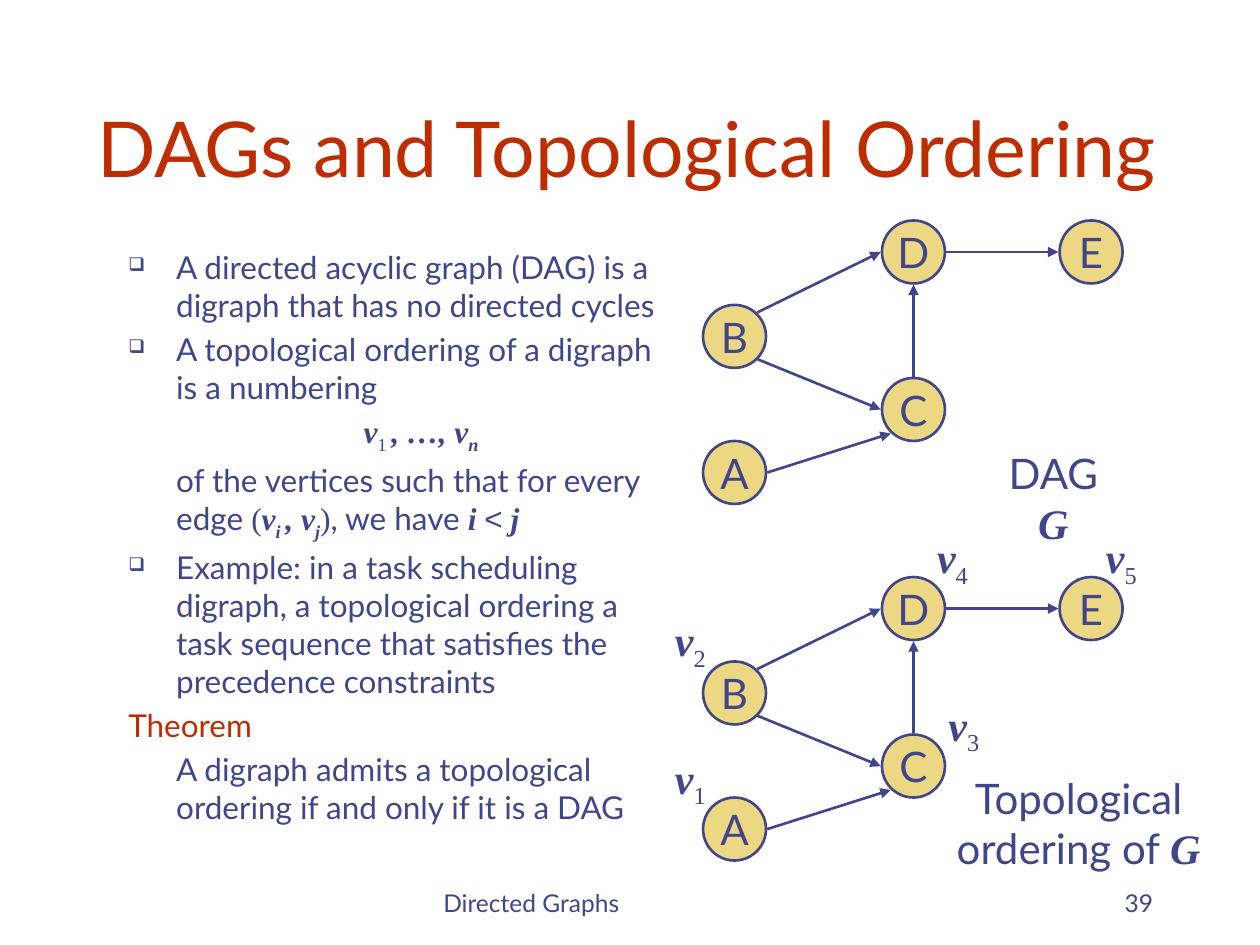
from lxml import etree
from pptx import Presentation
from pptx.dml.color import RGBColor
from pptx.enum.shapes import MSO_CONNECTOR, MSO_SHAPE
from pptx.enum.text import MSO_ANCHOR, PP_ALIGN
from pptx.oxml.ns import qn
from pptx.util import Inches, Pt

LEFT, CENTER, RIGHT = PP_ALIGN.LEFT, PP_ALIGN.CENTER, PP_ALIGN.RIGHT
TOP, MIDDLE, BOTTOM = MSO_ANCHOR.TOP, MSO_ANCHOR.MIDDLE, MSO_ANCHOR.BOTTOM
OVAL, STRAIGHT = MSO_SHAPE.OVAL, MSO_CONNECTOR.STRAIGHT

INK, ACCENT, NODE_FILL = "40458C", "BE2D00", "ECD882"
STYLES = {
    "plain": {"name": "Lato"},
    "accent": {"name": "Lato"},
    "sign": {"name": "Arial"},
    "math": {"name": "Times New Roman"},
    "sub": {"name": "Times New Roman"},
    "var": {"name": "Times New Roman", "bold": True, "italic": True},
    "varsub": {"name": "Times New Roman", "bold": True, "italic": True},
}
SUBSCRIPTS = ("sub", "varsub")
HANG = 0.38

TITLE = "DAGs and Topological Ordering"
BODY = [
    ("bullet", [("A directed acyclic graph (DAG) is a digraph that has no directed cycles", "plain")]),
    ("bullet", [("A topological ordering of a digraph is a numbering", "plain")]),
    ("formula", [("v", "var"), ("1 ", "sub"), (", …, v", "var"), ("n ", "varsub")]),
    ("inset", [("of the vertices such that for every edge ", "plain"), ("(", "math"),
               ("v", "var"), ("i ", "varsub"), (", v", "var"), ("j", "varsub"),
               (")", "math"), (", we have ", "plain"), ("i ", "var"),
               ("<", "sign"), (" j", "var")]),
    ("bullet", [("Example: in a task scheduling digraph, a topological ordering a task "
                 "sequence that satisfies the precedence constraints", "plain")]),
    ("heading", [("Theorem", "accent")]),
    ("inset", [("A digraph admits a topological ordering if and only if it is a DAG", "plain")]),
]
FOOTER, PAGE_NUMBER = "Directed Graphs", "39"
DAG_CAPTION = [("DAG ", "plain"), ("G", "var")]
ORDER_CAPTION = [("Topological ordering of ", "plain"), ("G", "var")]

COLUMNS = (5.58, 7, 8.41)
GRAPH_TOPS = (1.75, 4.58)
NODE_SIZE = 0.5
NODES = {"B": (0, 0.67), "A": (0, 1.75), "D": (1, 0), "C": (1, 1.25), "E": (2, 0)}
EDGES = [("B", "NE", "D", "W"), ("B", "SE", "C", "W"), ("D", "E", "E", "W"),
         ("C", "N", "D", "S"), ("A", "E", "C", "SW")]
SIDES = {"N": (0, -0.26), "S": (0, 0.26), "E": (0.26, 0), "W": (-0.26, 0),
         "NE": (0.18, -0.19), "SE": (0.18, 0.18), "SW": (-0.18, 0.19)}
ORDER_LABELS = [("1", 5.25, 5.92), ("2", 5.25, 4.83), ("3", 7.42, 5.5),
                ("4", 7.33, 4.17), ("5", 8.67, 4.17)]


def color(hex_value):
    return RGBColor.from_string(hex_value)


def set_all(target, values):
    for key, value in values.items():
        setattr(target, key, value)


def add_runs(paragraph, pieces, size):
    for text, style in pieces:
        run = paragraph.add_run()
        run.text = text
        set_all(run.font, {"size": Pt(size), "bold": False, "italic": False, **STYLES[style]})
        run.font.color.rgb = color(ACCENT if style == "accent" else INK)
        if style in SUBSCRIPTS:
            run._r.get_or_add_rPr().set("baseline", "-25000")


def write(shape, pieces, size, align=LEFT, anchor=TOP, wrap=True):
    set_all(shape.text_frame, {"word_wrap": wrap, "vertical_anchor": anchor})
    paragraph = shape.text_frame.paragraphs[0]
    paragraph.alignment = align
    add_runs(paragraph, pieces, size)


def add_text(slide, box, pieces, size, **layout):
    text_box = slide.shapes.add_textbox(*map(Inches, box))
    write(text_box, pieces, size, **layout)
    return text_box


def add_bullet(properties):
    tint = etree.SubElement(properties, qn("a:buClr"))
    etree.SubElement(tint, qn("a:srgbClr"), val=INK)
    etree.SubElement(properties, qn("a:buSzPct"), val="60000")
    etree.SubElement(properties, qn("a:buChar"), char="❑")


def add_body(slide):
    frame = slide.shapes.add_textbox(*map(Inches, (0.92, 1.92, 4.5, 4.75))).text_frame
    frame.word_wrap = True
    for index, (role, pieces) in enumerate(BODY):
        paragraph = frame.add_paragraph() if index else frame.paragraphs[0]
        paragraph.alignment = CENTER if role == "formula" else LEFT
        paragraph.space_before = Pt(3.6 if index else 0)
        properties = paragraph._p.get_or_add_pPr()
        properties.set("marL", str(Inches(0 if role == "heading" else HANG)))
        properties.set("indent", str(Inches(-HANG if role == "bullet" else 0)))
        if role == "bullet":
            add_bullet(properties)
        add_runs(paragraph, pieces, 18)


def add_edge(slide, start, end):
    edge = slide.shapes.add_connector(STRAIGHT, *map(Inches, start + end))
    edge.line.color.rgb = color(INK)
    edge.line.width = Pt(1.5)
    etree.SubElement(edge.line._get_or_add_ln(), qn("a:tailEnd"), type="triangle")
    etree.SubElement(edge._element.spPr, qn("a:effectLst"))


def add_graph(slide, graph_top):
    centers = {}
    for name, (column, drop) in NODES.items():
        left, top = COLUMNS[column], graph_top + drop
        centers[name] = (left + NODE_SIZE / 2, top + NODE_SIZE / 2)
        node = slide.shapes.add_shape(OVAL, *map(Inches, (left, top, NODE_SIZE, NODE_SIZE)))
        node.shadow.inherit = False
        node.fill.solid()
        node.fill.fore_color.rgb = color(NODE_FILL)
        node.line.color.rgb = color(INK)
        node.line.width = Pt(1.5)
        write(node, [(name, "plain")], 24, align=CENTER, anchor=MIDDLE, wrap=False)
    for source, exit_side, target, entry_side in EDGES:
        start, end = (
            tuple(c + d for c, d in zip(centers[name], SIDES[side]))
            for name, side in ((source, exit_side), (target, entry_side))
        )
        add_edge(slide, start, end)


def main():
    deck = Presentation()
    set_all(deck, {"slide_width": Inches(10), "slide_height": Inches(7.5)})
    slide = deck.slides.add_slide(deck.slide_layouts[5])

    title = slide.shapes.title
    set_all(title, {"left": Inches(0.67), "top": Inches(0.33),
                    "width": Inches(8.92), "height": Inches(1.25)})
    write(title, [(TITLE, "accent")], 44, anchor=BOTTOM)

    add_body(slide)
    for graph_top in GRAPH_TOPS:
        add_graph(slide, graph_top)

    dag_caption = add_text(slide, (7.9, 3.5, 1.19, 0.5), DAG_CAPTION, 24, align=CENTER)
    set_all(dag_caption.text_frame, {"margin_left": 0, "margin_right": Inches(0.27)})
    add_text(slide, (7.42, 6.08, 2.28, 0.9), ORDER_CAPTION, 24, align=CENTER)
    for number, left, top in ORDER_LABELS:
        add_text(slide, (left, top, 0.46, 0.5), [("v", "var"), (number, "sub")], 24,
                 align=CENTER, wrap=False)

    add_text(slide, (3.42, 6.83, 3.17, 0.5), [(FOOTER, "plain")], 14, anchor=BOTTOM)
    add_text(slide, (7.17, 6.83, 2.08, 0.5), [(PAGE_NUMBER, "plain")], 14,
             align=RIGHT, anchor=BOTTOM)
    deck.save("out.pptx")


if __name__ == "__main__":
    main()
